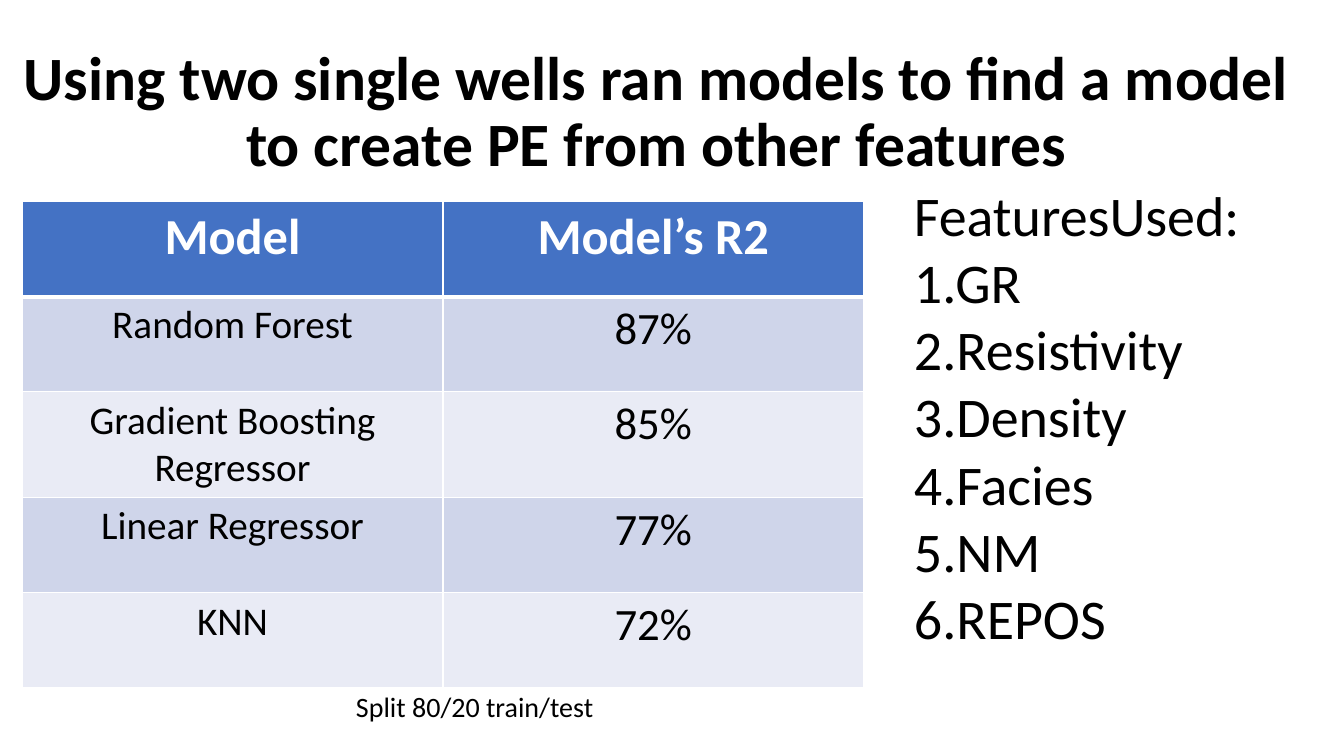
"""Builds a slide that compares model scores for creating PE from other well features."""
from lxml import etree
from pptx import Presentation
from pptx.dml.color import RGBColor
from pptx.enum.text import MSO_ANCHOR, PP_ALIGN
from pptx.oxml.ns import qn
from pptx.util import Pt

LEFT, CENTER = PP_ALIGN.LEFT, PP_ALIGN.CENTER
TOP, MIDDLE = MSO_ANCHOR.TOP, MSO_ANCHOR.MIDDLE
TITLE_ONLY = 5

COLORS = {
    "text": "000000",
    "white": "FFFFFF",
    "header": "4472C4",
    "odd_row": "CFD5EA",
    "even_row": "E9EBF5",
}

SCORES = [
    ("Model", "Model’s R2"),
    ("Random Forest", "87%"),
    ("Gradient Boosting Regressor", "85%"),
    ("Linear Regressor", "77%"),
    ("KNN", "72%"),
]
FEATURES = ["GR", "Resistivity", "Density", "Facies", "NM", "REPOS"]


class SlideBuilder:
    """Holds the text style and the current slide."""

    def __init__(self, deck, font="Calibri"):
        self.font = font
        self.slide = deck.slides.add_slide(deck.slide_layouts[TITLE_ONLY])

    def fill_text(self, frame, text, size, align=LEFT, color="text", bold=False):
        """Fills a text frame and formats every run."""
        frame.text = text
        frame.word_wrap = True
        for para in frame.paragraphs:
            para.alignment = align
            for span in para.runs:
                span.font.name = self.font
                span.font.size = Pt(size)
                span.font.bold = bold
                span.font.color.rgb = RGBColor.from_string(COLORS[color])

    def title(self, text, left, top, width, height, size):
        """Places and formats the title placeholder."""
        box = self.slide.shapes.title
        box.left, box.top, box.width, box.height = map(Pt, (left, top, width, height))
        self.fill_text(box.text_frame, text, size, CENTER, bold=True)
        box.text_frame.vertical_anchor = MIDDLE
        box.text_frame.paragraphs[0].line_spacing = 0.9

    def text(self, text, left, top, width, height, size, align=LEFT):
        """Adds a text box."""
        box = self.slide.shapes.add_textbox(*map(Pt, (left, top, width, height)))
        self.fill_text(box.text_frame, text, size, align)
        box.text_frame.vertical_anchor = TOP

    def border(self, cell, side, weight):
        """Draws one white edge of a table cell."""
        properties = cell._tc.get_or_add_tcPr()
        line = etree.SubElement(properties, qn(f"a:ln{side}"), w=str(Pt(weight)))
        fill = etree.SubElement(line, qn("a:solidFill"))
        etree.SubElement(fill, qn("a:srgbClr"), val=COLORS["white"])

    def table(self, rows, left, top, width, row_height):
        """Adds a banded table with a header row."""
        frame = self.slide.shapes.add_table(
            len(rows), len(rows[0]), Pt(left), Pt(top), Pt(width), Pt(row_height * len(rows)))
        for row, values in enumerate(rows):
            header = row == 0
            band = "header" if header else "odd_row" if row % 2 else "even_row"
            for column, value in enumerate(values):
                cell = frame.table.cell(row, column)
                size = 36 if header else (28, 32)[column]
                self.fill_text(cell.text_frame, value, size, CENTER,
                               "white" if header else "text", header)
                for side in "LRTB":
                    thick = (row, side) in ((0, "B"), (1, "T"))
                    self.border(cell, side, 3 if thick else 1)
                cell.fill.solid()
                cell.fill.fore_color.rgb = RGBColor.from_string(COLORS[band])


def main():
    """Builds and saves the deck."""
    deck = Presentation()
    deck.slide_width, deck.slide_height = Pt(960), Pt(540)
    page = SlideBuilder(deck)
    page.title("Using two single wells ran models to find a model "
               "to create PE from other features", 0, 28.8, 938.2, 104.4, 44)
    page.table(SCORES, 15.8, 144, 601.2, 67.9)
    numbered = [f"{number}.{name}" for number, name in enumerate(FEATURES, 1)]
    page.text("\n".join(["FeaturesUsed:"] + numbered), 645.8, 125.3, 270.7, 346.3, 40)
    page.text("Split 80/20 train/test", 61.9, 488.9, 554.4, 31.7, 20, CENTER)
    deck.save("out.pptx")


if __name__ == "__main__":
    main()
